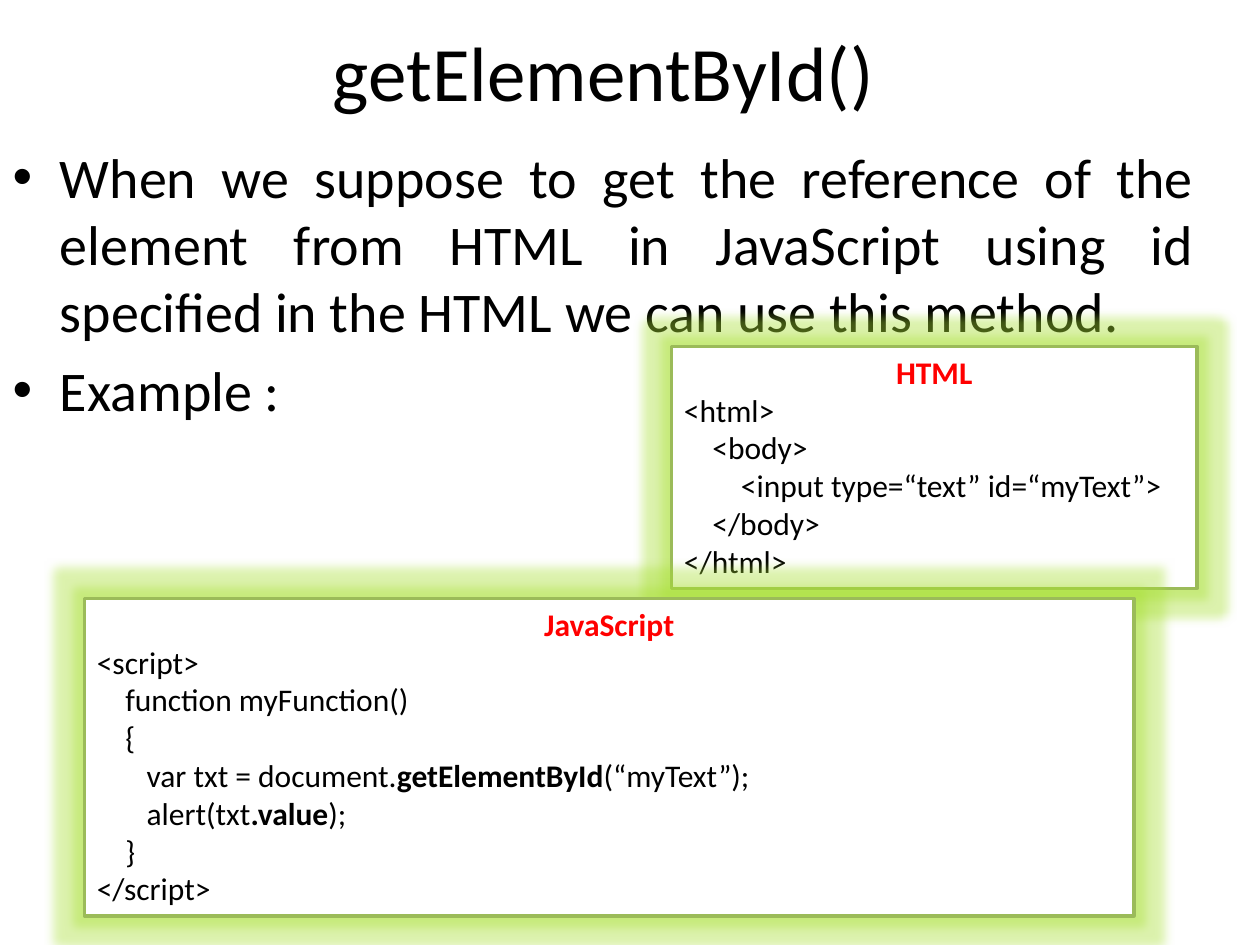
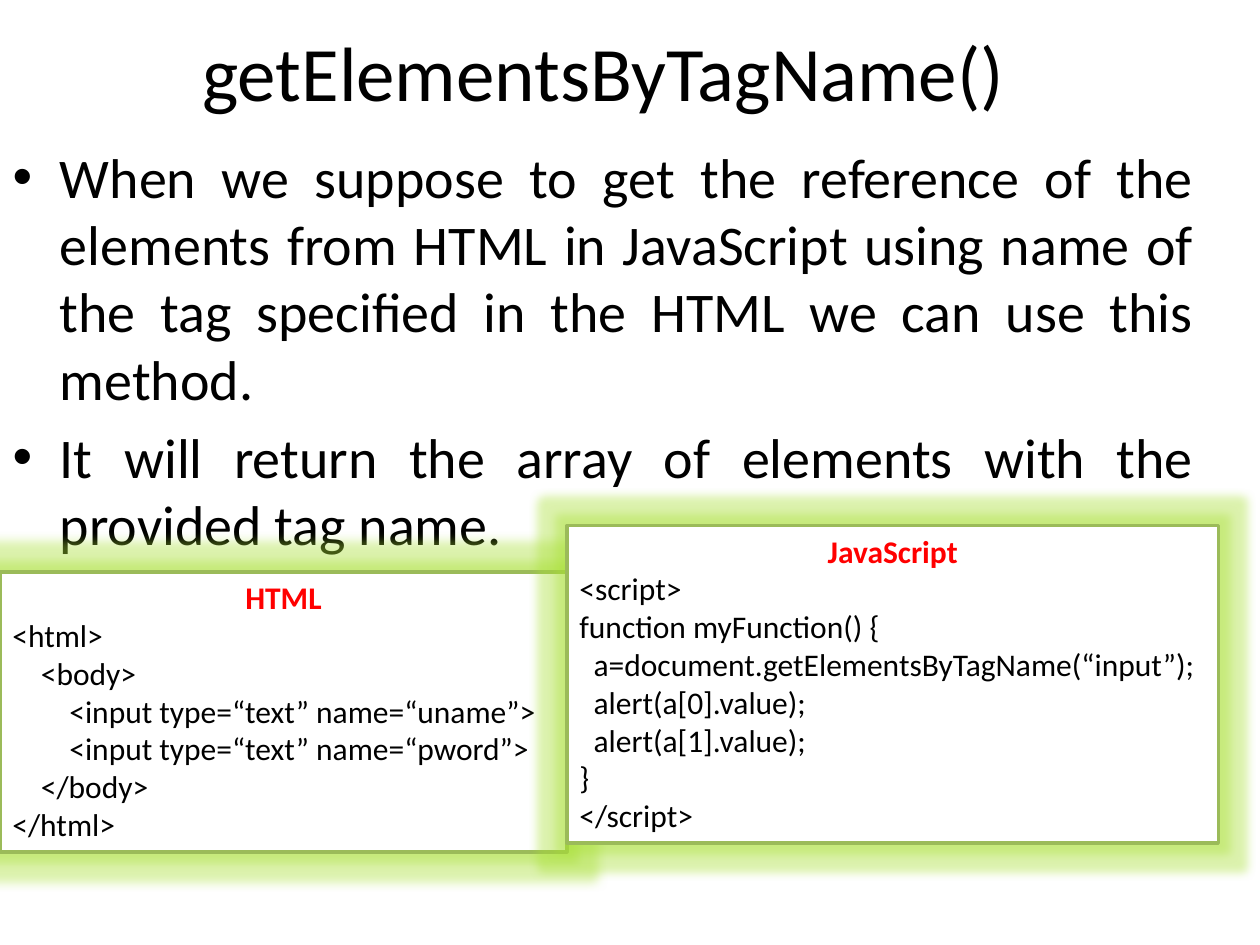
from lxml import etree
from pptx import Presentation
from pptx.dml.color import RGBColor
from pptx.enum import shapes, text
from pptx.oxml import ns
from pptx.util import Emu, Inches, Pt

FONT = "Calibri"
BLACK, WHITE, RED, GREEN = "000000", "FFFFFF", "FF0000", "9BBB59"
TITLE_BOX = (0, 0.12, 9.58, 0.88)
BODY_BOX = (0, 1.08, 9.58, 5.83)
LINE_HEIGHT, BOX_PADDING = 0.3, 0.12
INDENT_UNIT = Pt(4.07)
GLOW_RADIUS = Pt(11)

SLIDES = [
    {
        "title": "getElementById()",
        "bullets": [
            "When we suppose to get the reference of the element from HTML in "
            "JavaScript using id specified in the HTML we can use this method.",
            "Example :",
        ],
        "boxes": [
            ("HTML", (5.33, 2.75, 4.17), [
                (0, "<html>"),
                (4, "<body>"),
                (8, "<input type=“text” id=“myText”>"),
                (4, "</body>"),
                (0, "</html>"),
            ]),
            ("JavaScript", (0.67, 4.75, 8.33), [
                (0, "<script>"),
                (4, "function myFunction()"),
                (4, "{"),
                (7, "var txt = document.*getElementById*(“myText”);"),
                (7, "alert(txt*.value*);"),
                (4, "}"),
                (0, "</script>"),
            ]),
        ],
    },
    {
        "title": "getElementsByTagName()",
        "bullets": [
            "When we suppose to get the reference of the elements from HTML in "
            "JavaScript using name of the tag specified in the HTML we can use "
            "this method.",
            "It will return the array of elements with the provided tag name.",
        ],
        "boxes": [
            ("HTML", (0, 4.54, 4.5), [
                (0, "<html>"),
                (4, "<body>"),
                (8, "<input type=“text” name=“uname”>"),
                (8, "<input type=“text” name=“pword”>"),
                (4, "</body>"),
                (0, "</html>"),
            ]),
            ("JavaScript", (4.5, 4.17, 5.17), [
                (0, "<script>"),
                (0, "function myFunction() {"),
                (2, "a=document.getElementsByTagName(“input”);"),
                (2, "alert(a[0].value);"),
                (2, "alert(a[1].value);"),
                (0, "}"),
                (0, "</script>"),
            ]),
        ],
    },
]


def rgb(value):
    return RGBColor.from_string(value)


def place(sp, box):
    sp.left, sp.top, sp.width, sp.height = map(Inches, box)


def write(tf, content, first=False, size=18, color=BLACK, bold=False,
          align=text.PP_ALIGN.LEFT, indent=0):
    p = tf.paragraphs[0] if first else tf.add_paragraph()
    p.alignment = align
    if indent:
        p._p.get_or_add_pPr().set("marL", str(int(indent * INDENT_UNIT)))
    for i, part in enumerate(content.split("*")):
        r = p.add_run()
        r.text = part
        r.font.name, r.font.size = FONT, Pt(size)
        r.font.bold = bold or i % 2 == 1
        r.font.color.rgb = rgb(color)


def add_glow(sp):
    sp.shadow.inherit = False
    effects = sp._element.spPr.find(ns.qn("a:effectLst"))
    glow = etree.SubElement(effects, ns.qn("a:glow"), rad=str(Emu(GLOW_RADIUS)))
    color = etree.SubElement(glow, ns.qn("a:schemeClr"), val="accent3")
    etree.SubElement(color, ns.qn("a:satMod"), val="175000")
    etree.SubElement(color, ns.qn("a:alpha"), val="40000")


def add_code_box(s, heading, corner, lines):
    height = LINE_HEIGHT * (len(lines) + 1) + BOX_PADDING
    sp = s.shapes.add_shape(shapes.MSO_SHAPE.RECTANGLE,
                            *map(Inches, (*corner, height)))
    sp.fill.solid()
    sp.fill.fore_color.rgb = rgb(WHITE)
    sp.line.color.rgb = rgb(GREEN)
    sp.line.width = Pt(2)
    add_glow(sp)
    tf = sp.text_frame
    tf.word_wrap = True
    tf.auto_size = text.MSO_AUTO_SIZE.SHAPE_TO_FIT_TEXT
    tf.vertical_anchor = text.MSO_ANCHOR.TOP
    write(tf, heading, first=True, color=RED, bold=True,
          align=text.PP_ALIGN.CENTER)
    for indent, line in lines:
        write(tf, line, indent=indent)


def add_slide(prs, content):
    s = prs.slides.add_slide(prs.slide_layouts[1])
    title, body = s.placeholders
    place(title, TITLE_BOX)
    write(title.text_frame, content["title"], first=True, size=44,
          align=text.PP_ALIGN.CENTER)
    place(body, BODY_BOX)
    for i, bullet in enumerate(content["bullets"]):
        write(body.text_frame, bullet, first=i == 0, size=32,
              align=text.PP_ALIGN.JUSTIFY)
    for box in content["boxes"]:
        add_code_box(s, *box)


def main():
    prs = Presentation()
    prs.slide_width, prs.slide_height = Inches(10), Inches(7.5)
    for content in SLIDES:
        add_slide(prs, content)
    prs.save("out.pptx")


if __name__ == "__main__":
    main()
